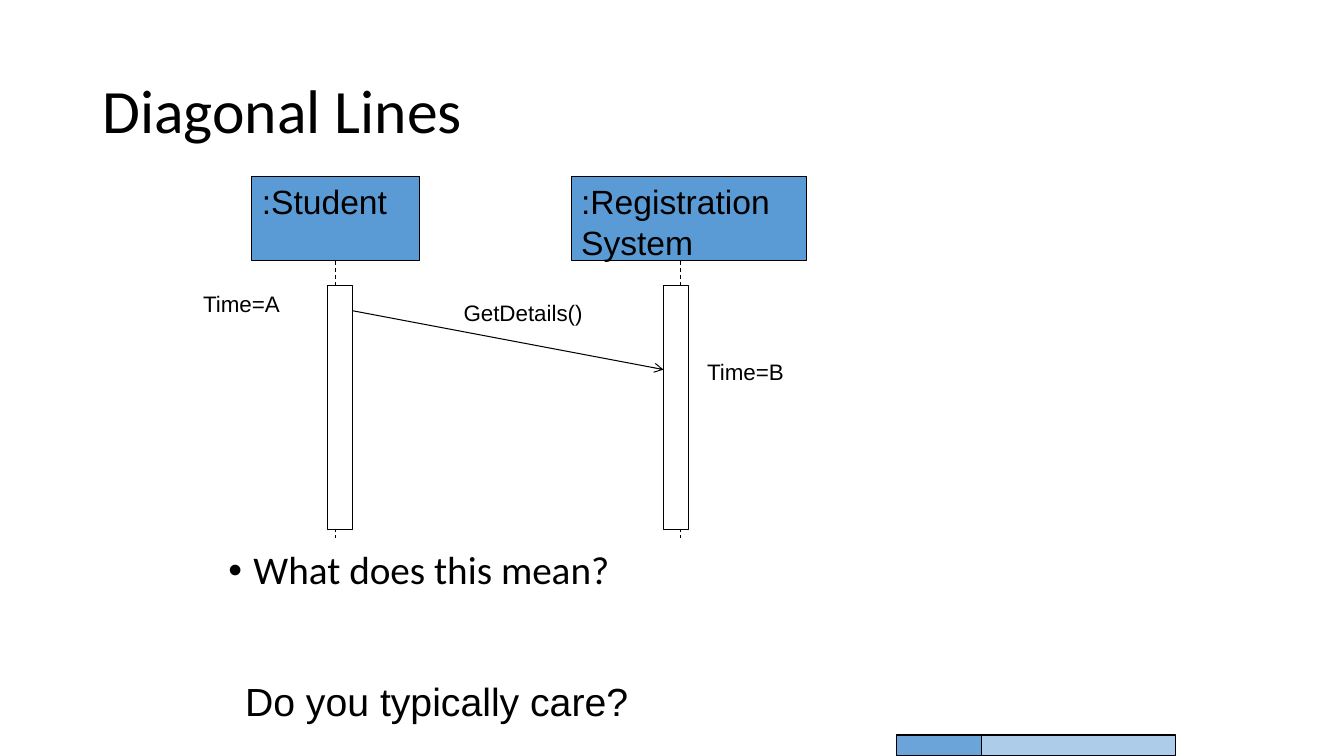
from lxml import etree
from pptx import Presentation
from pptx.dml.color import RGBColor
from pptx.enum.dml import MSO_LINE
from pptx.enum.shapes import MSO_CONNECTOR, MSO_SHAPE
from pptx.enum.text import MSO_ANCHOR, PP_ALIGN
from pptx.oxml.ns import qn
from pptx.util import Inches, Pt


def rgb(value):
    return RGBColor.from_string(value)


class Diagram:
    """Draws on one slide, in a grid of 160 columns by 90 rows."""
    INK, BLUE, WHITE = "000000", "5B9BD5", "FFFFFF"
    HEAD, BODY = "Calibri", "Arial"
    LINE = Pt(0.75)

    def __init__(self, prs):
        self.s = prs.slides.add_slide(prs.slide_layouts[6])
        self.col = prs.slide_width / 160
        self.row = prs.slide_height / 90

    def place(self, x, y, w, h):
        return (round(x * self.col), round(y * self.row),
                round(w * self.col), round(h * self.row))

    def set_text(self, sp, text, size, font, anchor=MSO_ANCHOR.TOP, bullet=False):
        tf = sp.text_frame
        tf.word_wrap = True
        tf.vertical_anchor = anchor
        tf.text = text
        p = tf.paragraphs[0]
        p.alignment = PP_ALIGN.LEFT
        if font == self.HEAD:
            p.line_spacing = 0.9
        if bullet:
            pPr = p._p.get_or_add_pPr()
            pPr.set("marL", str(Inches(0.25)))
            pPr.set("indent", str(-Inches(0.25)))
            etree.SubElement(pPr, qn("a:buFont")).set("typeface", "Arial")
            etree.SubElement(pPr, qn("a:buChar")).set("char", "•")
        for r in p.runs:
            r.font.name, r.font.size = font, Pt(size)
            r.font.color.rgb = rgb(self.INK)

    def text(self, text, x, y, w, h, size, font=BODY, **options):
        sp = self.s.shapes.add_textbox(*self.place(x, y, w, h))
        self.set_text(sp, text, size, font, **options)

    def box(self, x, y, w, h, fill, text="", opacity=100):
        sp = self.s.shapes.add_shape(MSO_SHAPE.RECTANGLE, *self.place(x, y, w, h))
        sp.shadow.inherit = False
        sp.fill.solid()
        sp.fill.fore_color.rgb = rgb(fill)
        sp.line.color.rgb = rgb(self.INK)
        sp.line.width = self.LINE
        if opacity < 100:
            color = sp._element.spPr.find(qn("a:solidFill"))[0]
            etree.SubElement(color, qn("a:alpha")).set("val", str(opacity * 1000))
        if text:
            self.set_text(sp, text, 24, self.BODY)
        return sp

    def line(self, x1, y1, x2, y2, dashed=False, arrow=False):
        c = self.s.shapes.add_connector(
            MSO_CONNECTOR.STRAIGHT, *self.place(x1, y1, x2, y2))
        c.line.color.rgb = rgb(self.INK)
        c.line.width = self.LINE
        if dashed:
            c.line.dash_style = MSO_LINE.DASH
        if arrow:
            ln = c._element.spPr.find(qn("a:ln"))
            etree.SubElement(ln, qn("a:tailEnd")).set("type", "arrow")
        etree.SubElement(c._element.spPr, qn("a:effectLst"))
        return c


def main():
    prs = Presentation()
    prs.slide_width, prs.slide_height = Inches(13.33), Inches(7.5)
    d = Diagram(prs)

    # Title and question
    d.text("Diagonal Lines", 11, 4.8, 138, 17.4, 44, d.HEAD, anchor=MSO_ANCHOR.MIDDLE)
    d.text("What does this mean?", 26, 65, 109, 15, 28, d.HEAD, bullet=True)

    # Participants
    student = d.box(30, 21, 20, 10, d.BLUE, ":Student")
    d.box(68, 21, 28, 10, d.BLUE, ":Registration System")

    # Lifelines, with the activation bars over them
    student_life = d.line(40, 31, 40, 64, dashed=True)
    student_life.begin_connect(student, 2)
    d.line(81, 31, 81, 64, dashed=True)
    for x in (39, 79):
        d.box(x, 34, 3, 29, d.WHITE)

    # Message and its times
    d.line(42, 37, 79, 44, arrow=True)
    for label, x, y in (("GetDetails()", 54, 35), ("Time=A", 23, 34), ("Time=B", 83, 42)):
        d.text(label, x, y, 17, 7, 16)

    # Closing question
    d.text("Do you typically care?", 28, 80, 68, 7, 28)

    # Bars at the bottom edge
    for x, w, opacity in ((106.7, 10.1, 90), (116.8, 23.2, 50)):
        d.box(x, 87.5, w, 2.5, d.BLUE, opacity=opacity)

    prs.save("out.pptx")


if __name__ == "__main__":
    main()
